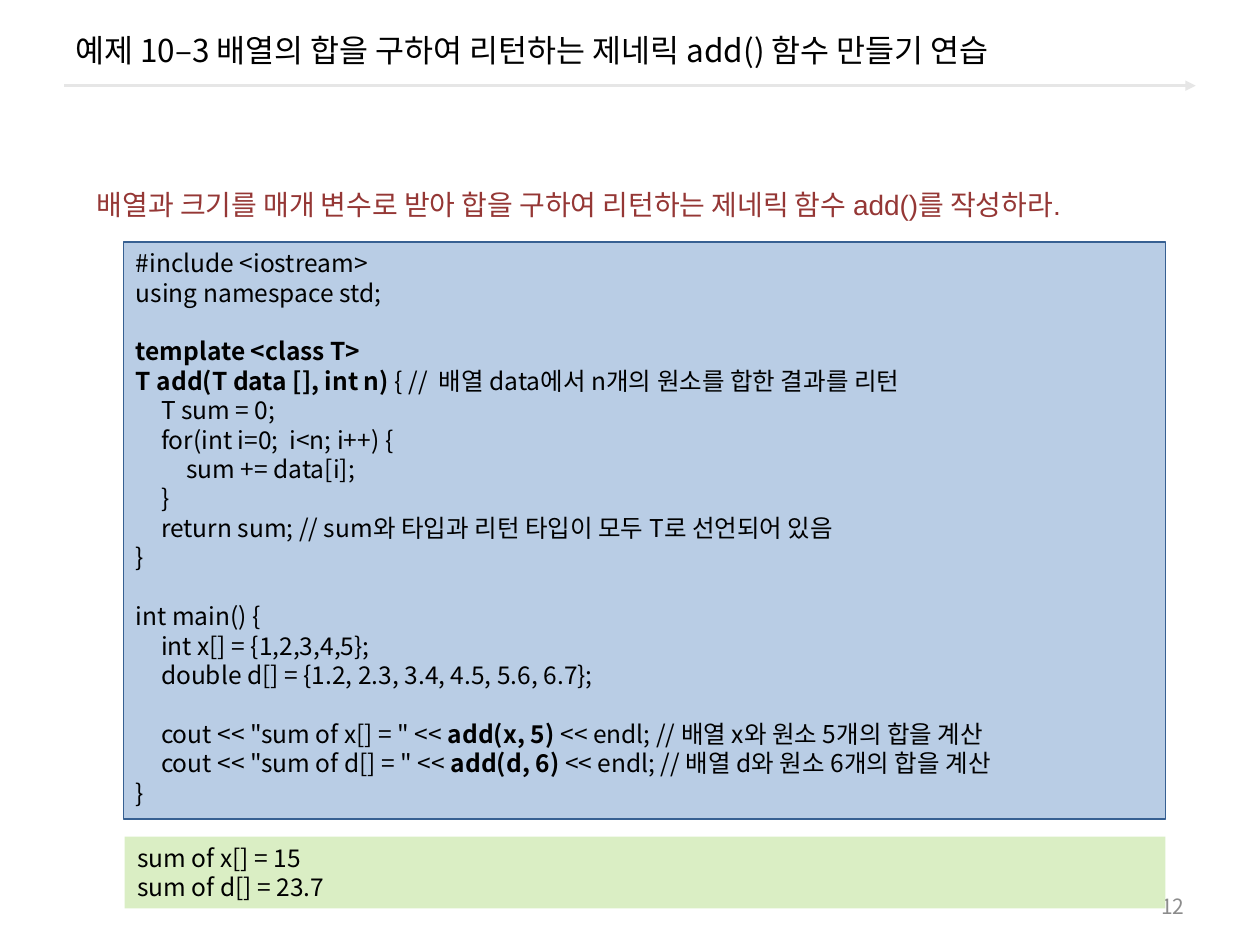
"""Build the slide on a generic add() function that sums an array."""
from lxml import etree
from pptx import Presentation, util as u
from pptx.dml.color import RGBColor
from pptx.enum import shapes, text
from pptx.oxml import ns

TITLE = "예제 10–3 배열의 합을 구하여 리턴하는 제네릭 add() 함수 만들기 연습"
TASK = "배열과 크기를 매개 변수로 받아 합을 구하여 리턴하는 제네릭 함수 add()를 작성하라."
PAGE = "12"
CODE = """#include <iostream>
using namespace std;

**template <class T>**
**T add(T data [], int n) **{ //  배열 data에서 n개의 원소를 합한 결과를 리턴
\tT sum = 0;
\tfor(int i=0;  i<n; i++) {
\t\tsum += data[i];
\t}
\treturn sum; // sum와 타입과 리턴 타입이 모두 T로 선언되어 있음
}

int main() {
\tint x[] = {1,2,3,4,5};
\tdouble d[] = {1.2, 2.3, 3.4, 4.5, 5.6, 6.7};

\tcout << "sum of x[] = " << **add(x, 5) **<< endl; // 배열 x와 원소 5개의 합을 계산
\tcout << "sum of d[] = " << **add(d, 6) **<< endl; // 배열 d와 원소 6개의 합을 계산
}"""
OUTPUT = "sum of x[] = 15\nsum of d[] = 23.7"

KOREAN = "Noto Sans CJK KR"
BLACK = RGBColor(0x00, 0x00, 0x00)
GRAY = RGBColor(0x8C, 0x8C, 0x8C)
RULE = RGBColor(0xE6, 0xE6, 0xE6)
RED = RGBColor(0x95, 0x37, 0x35)
BLUE = RGBColor(0xB9, 0xCD, 0xE5)
NAVY = RGBColor(0x37, 0x60, 0x92)
GREEN = RGBColor(0xDA, 0xEE, 0xC4)

TAB = 0.2
CODE_SIZE = 14
LINE_PITCH = 1.2

deck = Presentation()
deck.slide_width, deck.slide_height = u.Inches(10), u.Inches(7.5)
slide = deck.slides.add_slide(deck.slide_layouts[6])


def child(parent, tag, **attributes):
    return etree.SubElement(parent, ns.qn(tag), attributes)


def write(part, content, size, color=BLACK, font=KOREAN, align=text.PP_ALIGN.LEFT,
          anchor=text.MSO_ANCHOR.TOP, wrap=True, code=False):
    frame = part.text_frame
    frame.word_wrap, frame.vertical_anchor = wrap, anchor
    for index, line in enumerate(content.split("\n")):
        paragraph = frame.add_paragraph() if index else frame.paragraphs[0]
        paragraph.alignment = align
        if code:
            paragraph.line_spacing = u.Pt(size * LINE_PITCH)
            stops = child(paragraph._p.get_or_add_pPr(), "a:tabLst")
            for stop in (1, 2):
                child(stops, "a:tab", pos=str(u.Inches(stop * TAB)), algn="l")
        for order, piece in enumerate(line.split("**")):
            if not piece:
                continue
            run = paragraph.add_run()
            run.text = piece
            run.font.size, run.font.name = u.Pt(size), font
            run.font.bold = order % 2 == 1
            run.font.color.rgb = color
            child(run._r.get_or_add_rPr(), "a:ea", typeface=KOREAN)


def label(place, content, size, **style):
    write(slide.shapes.add_textbox(*map(u.Inches, place)), content, size, **style)


def panel(place, content, fill, edge=None):
    box = slide.shapes.add_shape(shapes.MSO_SHAPE.RECTANGLE, *map(u.Inches, place))
    box.shadow.inherit = False
    box.fill.solid()
    box.fill.fore_color.rgb = fill
    if edge is None:
        box.line.fill.background()
    else:
        box.line.color.rgb, box.line.width = edge, u.Pt(0.75)
    write(box, content, CODE_SIZE, code=True)


rule = slide.shapes.add_connector(
    shapes.MSO_CONNECTOR.STRAIGHT, *map(u.Inches, (0.51, 0.68, 9.49, 0.68)))
rule.line.color.rgb, rule.line.width = RULE, u.Pt(1.5)
child(rule.line._get_or_add_ln(), "a:tailEnd", type="triangle")
child(rule._element.spPr, "a:effectLst")

label((0.5, 0.08, 9, 0.64), TITLE, 18, anchor=text.MSO_ANCHOR.MIDDLE)
label((7.17, 7.03, 2.33, 0.32), PAGE, 12, color=GRAY, align=text.PP_ALIGN.RIGHT,
      anchor=text.MSO_ANCHOR.MIDDLE)
panel((0.98, 1.92, 8.27, 4.58), CODE, BLUE, NAVY)
panel((0.99, 6.64, 8.26, 0.57), OUTPUT, GREEN)
label((0.67, 1.44, 8.77, 0.37), TASK, 16, color=RED, font="Arial", wrap=False)

deck.save("out.pptx")
